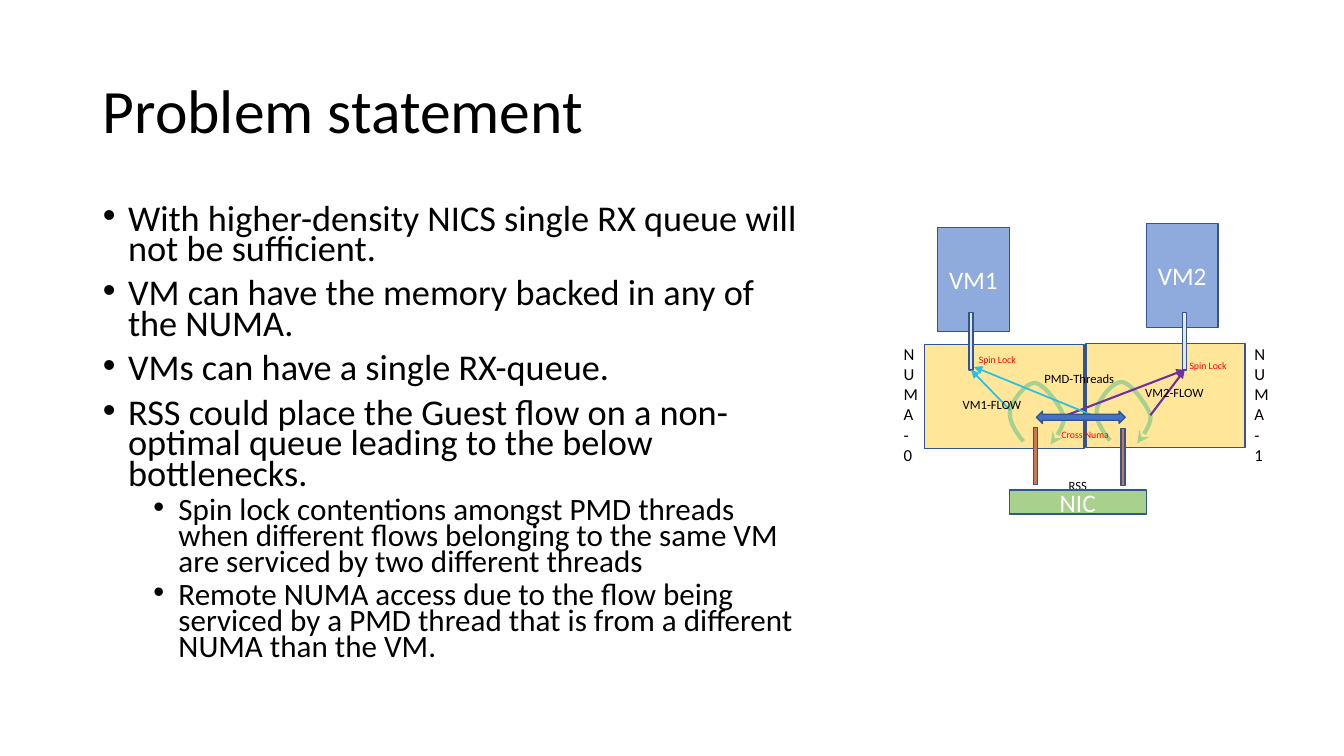
from lxml.etree import SubElement
from pptx import Presentation
from pptx.dml.color import RGBColor
from pptx.enum.shapes import MSO_CONNECTOR, MSO_SHAPE
from pptx.enum.text import MSO_ANCHOR, MSO_AUTO_SIZE, PP_ALIGN
from pptx.oxml.ns import qn
from pptx.util import Inches, Pt

BLACK = RGBColor(0x00, 0x00, 0x00)
WHITE = RGBColor(0xFF, 0xFF, 0xFF)
RED = RGBColor(0xFF, 0x00, 0x00)
NAVY = RGBColor(0x32, 0x54, 0x91)
BLUE = RGBColor(0x44, 0x72, 0xC4)
LIGHT_BLUE = RGBColor(0x8F, 0xAA, 0xDC)
YELLOW = RGBColor(0xFF, 0xE6, 0x99)
GREEN = RGBColor(0xA9, 0xD1, 0x8E)
GRAY = RGBColor(0xE7, 0xE6, 0xE6)
ORANGE = RGBColor(0xCC, 0x76, 0x54)
CYAN = RGBColor(0x2A, 0xC0, 0xDE)
PURPLE = RGBColor(0x70, 0x30, 0xA0)

BULLETS = [
    (0, "With higher-density NICS single RX queue will not be sufficient."),
    (0, "VM can have the memory backed in any of the NUMA."),
    (0, "VMs can have a single RX-queue."),
    (0, "RSS could place the Guest flow on a non-optimal queue leading to the below bottlenecks."),
    (1, "Spin lock contentions amongst PMD threads when different flows belonging "
        "to the same VM are serviced by two different threads"),
    (1, "Remote NUMA access due to the flow being serviced by a PMD thread "
        "that is from a different NUMA than the VM."),
]
LEVELS = [
    {"size": 25.9, "before": 10, "margin": 0.25},
    {"size": 22.2, "before": 5, "margin": 0.75},
]
THREAD_START = (10.15, 4.38)
THREAD_CURVES = [
    ((10.07, 4.28), (10, 4.17), (10.02, 4.07)),
    ((10.04, 3.97), (10.18, 3.79), (10.27, 3.8)),
    ((10.36, 3.81), (10.52, 4.03), (10.55, 4.13)),
    ((10.57, 4.23), (10.42, 4.41), (10.42, 4.41)),
]


def curve_points(start, curves, steps=12):
    points = [start]
    for first, second, end in curves:
        corners = (points[-1], first, second, end)
        for step in range(1, steps + 1):
            t = step / steps
            weights = ((1 - t) ** 3, 3 * t * (1 - t) ** 2, 3 * t * t * (1 - t), t ** 3)
            points.append(tuple(
                sum(w * corner[axis] for w, corner in zip(weights, corners))
                for axis in (0, 1)))
    return points


class SlideBuilder:
    font_name = "Calibri"

    def __init__(self, slide):
        self.slide = slide

    def add_words(self, paragraph, text, size, color):
        run = paragraph.add_run()
        run.text = text
        for name, value in {"name": self.font_name, "size": Pt(size)}.items():
            setattr(run.font, name, value)
        run.font.color.rgb = color

    def place(self, holder, box, anchor):
        for name, value in zip(("left", "top", "width", "height"), box):
            setattr(holder, name, Inches(value))
        frame = holder.text_frame
        layout = {"word_wrap": True, "auto_size": MSO_AUTO_SIZE.NONE,
                  "vertical_anchor": anchor}
        for name, value in layout.items():
            setattr(frame, name, value)
        return frame

    def title(self, text, box):
        frame = self.place(self.slide.shapes.title, box, MSO_ANCHOR.MIDDLE)
        heading = frame.paragraphs[0]
        for name, value in {"alignment": PP_ALIGN.LEFT, "line_spacing": 0.9}.items():
            setattr(heading, name, value)
        self.add_words(heading, text, 44, BLACK)

    def bullets(self, items, box):
        frame = self.place(self.slide.placeholders[1], box, MSO_ANCHOR.TOP)
        for index, (level, text) in enumerate(items):
            item = frame.add_paragraph() if index else frame.paragraphs[0]
            style = LEVELS[level]
            properties = item._p.get_or_add_pPr()
            properties.set("marL", str(Inches(style["margin"])))
            properties.set("indent", str(Inches(-0.25)))
            SubElement(properties, qn("a:buFont")).set("typeface", "Arial")
            SubElement(properties, qn("a:buChar")).set("char", "•")
            spacing = {"level": level, "line_spacing": 0.7,
                       "space_before": Pt(style["before"] if index else 0)}
            for name, value in spacing.items():
                setattr(item, name, value)
            self.add_words(item, text, style["size"], BLACK)

    def paint(self, shape, fill, line, width):
        shape.shadow.inherit = False
        shape.fill.solid()
        shape.fill.fore_color.rgb = fill
        shape.line.color.rgb = line
        shape.line.width = Pt(width)

    def block(self, box, fill, text="", kind=MSO_SHAPE.RECTANGLE):
        shape = self.slide.shapes.add_shape(kind, *map(Inches, box))
        self.paint(shape, fill, NAVY, 1)
        if text:
            frame = shape.text_frame
            frame.vertical_anchor = MSO_ANCHOR.MIDDLE
            frame.paragraphs[0].alignment = PP_ALIGN.CENTER
            self.add_words(frame.paragraphs[0], text, 18, WHITE)

    def label(self, text, box, size=9, color=BLACK):
        frame = self.slide.shapes.add_textbox(*map(Inches, box)).text_frame
        frame.word_wrap = True
        self.add_words(frame.paragraphs[0], text, size, color)

    def arrowhead(self, shape, kind):
        outline = shape._element.spPr.find(qn("a:ln"))
        SubElement(outline, qn("a:tailEnd")).set("type", kind)

    def arrow(self, start, end, color, width):
        line = self.slide.shapes.add_connector(
            MSO_CONNECTOR.STRAIGHT, *map(Inches, start + end))
        line.line.color.rgb = color
        line.line.width = Pt(width)
        self.arrowhead(line, "triangle")
        SubElement(line._element.spPr, qn("a:effectLst"))

    def thread(self, dx, dy):
        points = [(Inches(x + dx), Inches(y + dy))
                  for x, y in curve_points(THREAD_START, THREAD_CURVES)]
        outline = self.slide.shapes.build_freeform(*points[0])
        outline.add_line_segments(points[1:], close=False)
        loop = outline.convert_to_shape()
        self.paint(loop, YELLOW, GREEN, 3)
        self.arrowhead(loop, "stealth")


def main():
    deck = Presentation()
    deck.slide_width, deck.slide_height = Inches(13.33), Inches(7.5)
    page = SlideBuilder(deck.slides.add_slide(deck.slide_layouts[1]))

    page.title("Problem statement", (0.92, 0.4, 11.5, 1.45))
    page.bullets(BULLETS, (0.92, 2, 7.13, 4.76))

    for left, top in ((10.77, 3.41), (9.17, 3.42)):
        page.block((left, top, 1.58, 1.03), YELLOW)
    for name, left, top in (("VM1", 9.3, 2.26), ("VM2", 11.37, 2.22)):
        page.block((left, top, 0.71, 1.03), LIGHT_BLUE, name)
    for left in (9.61, 11.73):
        page.block((left, 3.1, 0.04, 0.57), GRAY)
    for dx, dy in ((0, 0), (0.86, -0.01)):
        page.thread(dx, dy)
    for left, top in ((10.25, 4.24), (11.12, 4.25)):
        page.block((left, top, 0.04, 0.57), ORANGE)

    for start, end, color, width in (
        ((10.02, 4.07), (9.63, 3.67), CYAN, 1.25),
        ((10.55, 4.13), (11.75, 3.67), PURPLE, 1.5),
        ((10.86, 4.13), (9.66, 3.64), CYAN, 1.25),
        ((11.41, 4.12), (11.75, 3.67), PURPLE, 1.5),
    ):
        page.arrow(start, end, color, width)

    for text, left, top in (("VM1-FLOW", 9.45, 3.89), ("VM2-FLOW", 11.26, 3.77),
                            ("PMD-Threads", 10.26, 3.63), ("RSS", 10.5, 4.69)):
        page.label(text, (left, top, 0.91, 0.25))
    for text, left in (("NUMA-0", 8.89), ("NUMA-1", 12.37)):
        page.label(text, (left, 3.36, 0.17, 1.31), 12)
    page.block((10.01, 4.86, 1.36, 0.24), GREEN, "NIC")
    for left, top in ((9.61, 3.46), (11.7, 3.52)):
        page.label("Spin Lock", (left, top, 0.63, 0.22), 7, RED)
    page.block((10.28, 4.08, 0.88, 0.12), BLUE, kind=MSO_SHAPE.LEFT_RIGHT_ARROW)
    page.label("Cross Numa", (10.43, 4.2, 0.7, 0.22), 7, RED)

    deck.save("out.pptx")


if __name__ == "__main__":
    main()
